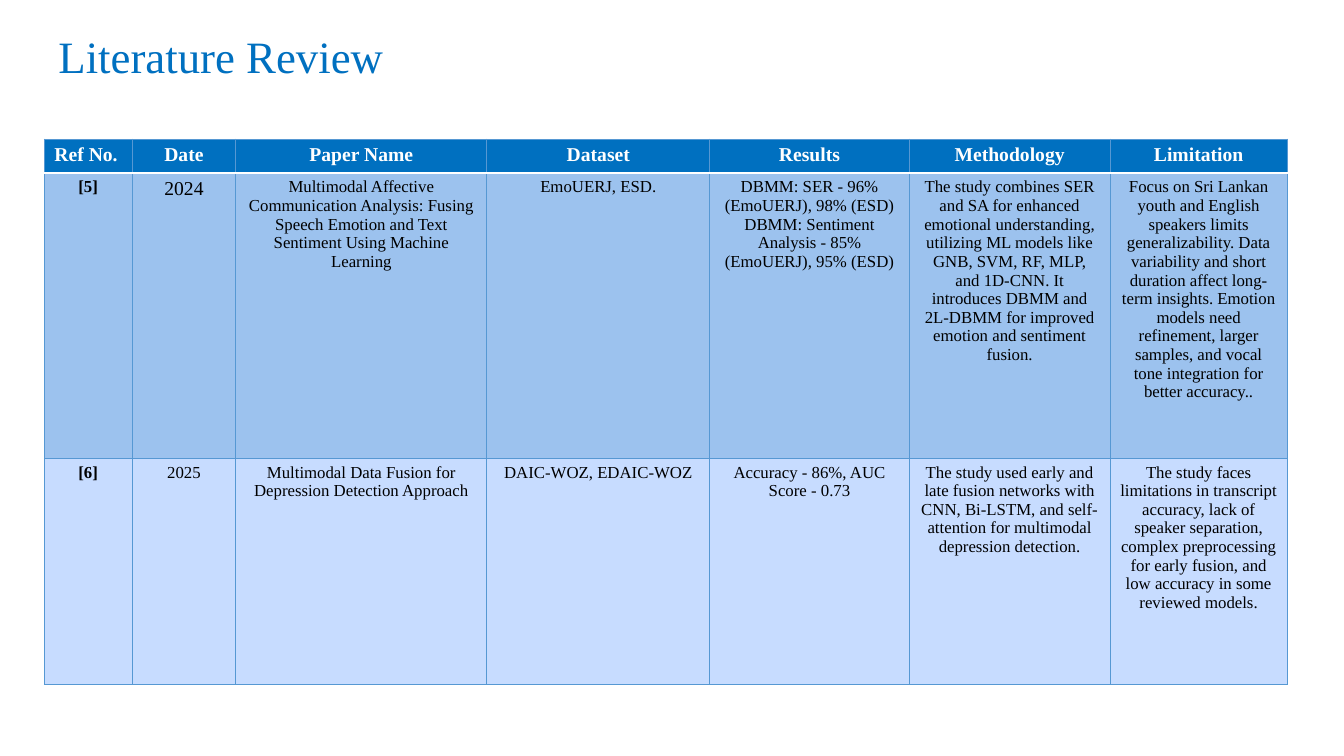
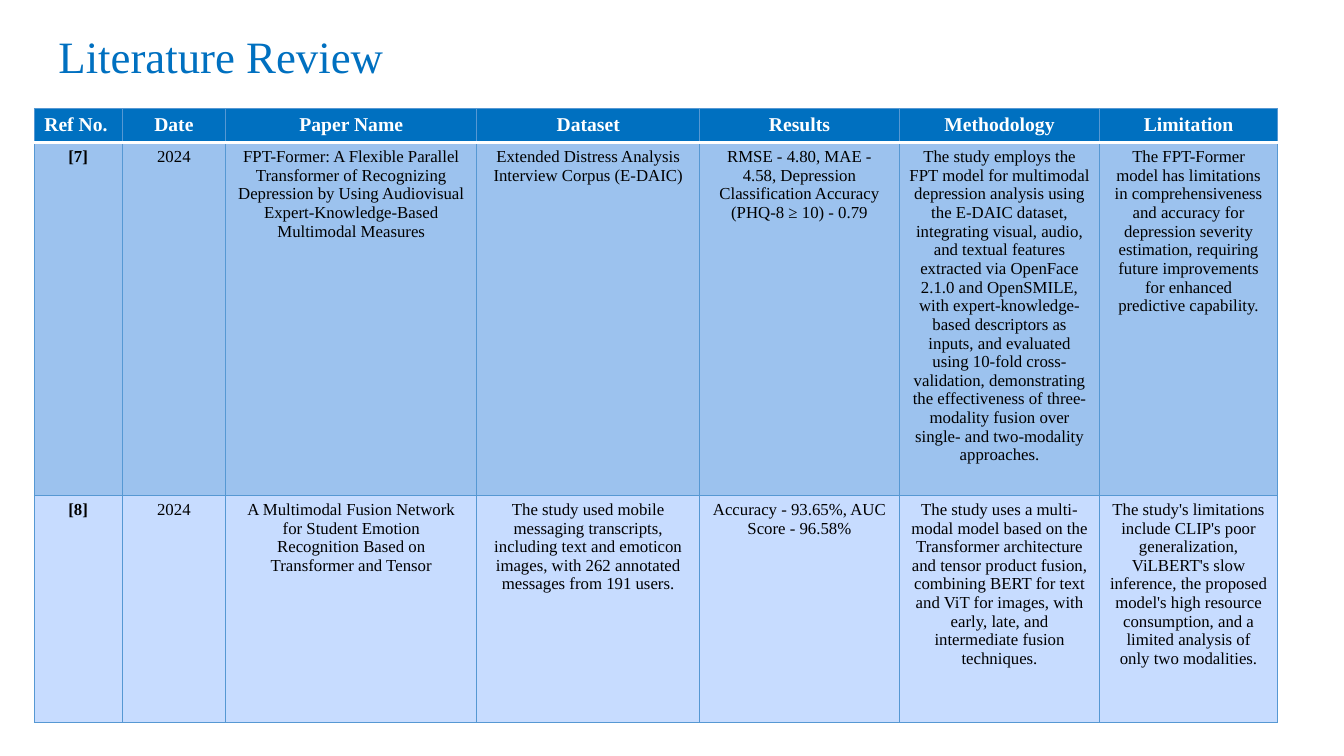
from dataclasses import dataclass

import lxml.etree
import pptx
import pptx.dml.color
import pptx.enum.text
import pptx.oxml.ns
import pptx.util

Inches = pptx.util.Inches
Pt = pptx.util.Pt


@dataclass(frozen=True)
class Theme:
    font: str = "Times New Roman"
    accent: str = "0070C0"
    white: str = "FFFFFF"
    black: str = "000000"
    border: str = "5698D3"
    row_fills: tuple = ("0070C0", "9CC2EE", "C7DCFF")
    title_size: int = 32
    header_size: int = 14
    body_size: int = 12


THEME = Theme()
LEFT = pptx.enum.text.PP_ALIGN.LEFT
CENTER = pptx.enum.text.PP_ALIGN.CENTER

COLUMN_WIDTHS = [0.87, 1.03, 2.49, 2.21, 1.98, 1.99, 1.76]
HEADERS = ["Ref No.", "Date", "Paper Name", "Dataset", "Results", "Methodology", "Limitation"]

REVIEWS = [
    {
        "position": (0.44, 1.38),
        "row_heights": [0.33, 2.83, 2.25],
        "first_date_size": THEME.header_size,
        "papers": [
            [
                "[5]",
                "2024",
                "Multimodal Affective Communication Analysis: Fusing Speech Emotion and Text "
                "Sentiment Using Machine Learning",
                "EmoUERJ, ESD.",
                "DBMM: SER - 96% (EmoUERJ), 98% (ESD)\n"
                "DBMM: Sentiment Analysis - 85% (EmoUERJ), 95% (ESD)",
                "The study combines SER and SA for enhanced emotional understanding, utilizing "
                "ML models like GNB, SVM, RF, MLP, and 1D-CNN. It introduces DBMM and 2L-DBMM "
                "for improved emotion and sentiment fusion.",
                "Focus on Sri Lankan youth and English speakers limits generalizability. Data "
                "variability and short duration affect long-term insights. Emotion models need "
                "refinement, larger samples, and vocal tone integration for better accuracy..",
            ],
            [
                "[6]",
                "2025",
                "Multimodal Data Fusion for Depression Detection Approach",
                "DAIC-WOZ, EDAIC-WOZ",
                "Accuracy - 86%, AUC Score - 0.73",
                "The study used early and late fusion networks with CNN, Bi-LSTM, and "
                "self-attention for multimodal depression detection.",
                "The study faces limitations in transcript accuracy, lack of speaker separation, "
                "complex preprocessing for early fusion, and low accuracy in some reviewed models.",
            ],
        ],
    },
    {
        "position": (0.34, 1.08),
        "row_heights": [0.33, 3.5, 2.25],
        "first_date_size": THEME.body_size,
        "papers": [
            [
                "[7]",
                "2024",
                "FPT-Former: A Flexible Parallel Transformer of Recognizing Depression by Using "
                "Audiovisual Expert-Knowledge-Based Multimodal Measures",
                "Extended Distress Analysis Interview Corpus (E-DAIC)",
                "RMSE - 4.80, MAE - 4.58, Depression Classification Accuracy (PHQ-8 ≥ 10) - 0.79",
                "The study employs the FPT model for multimodal depression analysis using the "
                "E-DAIC dataset, integrating visual, audio, and textual features extracted via "
                "OpenFace 2.1.0 and OpenSMILE, with expert-knowledge-based descriptors as inputs, "
                "and evaluated using 10-fold cross-validation, demonstrating the effectiveness of "
                "three-modality fusion over single- and two-modality approaches.",
                "The FPT-Former model has limitations in comprehensiveness and accuracy for "
                "depression severity estimation, requiring future improvements for enhanced "
                "predictive capability.",
            ],
            [
                "[8]",
                "2024",
                "A Multimodal Fusion Network for Student Emotion\n"
                "Recognition Based on Transformer and Tensor",
                "The study used mobile messaging transcripts, including text and emoticon images, "
                "with 262 annotated messages from 191 users.",
                "Accuracy - 93.65%, AUC Score - 96.58%",
                "The study uses a multi-modal model based on the Transformer architecture and "
                "tensor product fusion, combining BERT for text and ViT for images, with early, "
                "late, and intermediate fusion techniques.",
                "The study's limitations include CLIP's poor generalization, ViLBERT's slow "
                "inference, the proposed model's high resource consumption, and a limited "
                "analysis of only two modalities.",
            ],
        ],
    },
]


def write_text(text_frame, text, size, color, bold=False, alignment=CENTER):
    """Fill a text frame, one paragraph per line of text."""
    text_frame.text = text
    for paragraph in text_frame.paragraphs:
        paragraph.alignment = alignment
        font = paragraph.runs[0].font
        font.name = THEME.font
        font.size = Pt(size)
        font.bold = bold
        font.color.rgb = pptx.dml.color.RGBColor.from_string(color)


def set_borders(cell, **sides):
    """Draw cell borders from tag=(color, points), in the order lnL, lnR, lnT, lnB."""
    properties = cell._tc.get_or_add_tcPr()
    for index, (side, (color, points)) in enumerate(sides.items()):
        line = lxml.etree.Element(pptx.oxml.ns.qn(f"a:{side}"), w=str(Pt(points)))
        fill = lxml.etree.SubElement(line, pptx.oxml.ns.qn("a:solidFill"))
        lxml.etree.SubElement(fill, pptx.oxml.ns.qn("a:srgbClr"), val=color)
        properties.insert(index, line)


presentation = pptx.Presentation()
presentation.slide_width = Inches(13.33)
presentation.slide_height = Inches(7.5)
title_only_layout = presentation.slide_layouts[5]
thin_line = (THEME.border, 0.75)
header_line = (THEME.white, 2)

for review in REVIEWS:
    slide = presentation.slides.add_slide(title_only_layout)

    title = slide.shapes.title
    title.left, title.top = Inches(0.58), Inches(0.27)
    title.width, title.height = Inches(4.05), Inches(0.55)
    title_frame = title.text_frame
    title_frame.margin_left = title_frame.margin_right = title_frame.margin_bottom = 0
    title_frame.margin_top = Inches(0.01)
    title_frame.vertical_anchor = pptx.enum.text.MSO_ANCHOR.MIDDLE
    title_frame.auto_size = pptx.enum.text.MSO_AUTO_SIZE.SHAPE_TO_FIT_TEXT
    write_text(title_frame, "Literature Review", THEME.title_size, THEME.accent, alignment=LEFT)

    rows = [HEADERS] + review["papers"]
    left, top = review["position"]
    table = slide.shapes.add_table(
        len(rows), len(HEADERS), Inches(left), Inches(top),
        Inches(sum(COLUMN_WIDTHS)), Inches(sum(review["row_heights"])),
    ).table
    table.horz_banding = False
    for column, width in zip(table.columns, COLUMN_WIDTHS):
        column.width = Inches(width)
    for row, height in zip(table.rows, review["row_heights"]):
        row.height = Inches(height)

    for row_index, texts in enumerate(rows):
        is_header = row_index == 0
        for column_index, text in enumerate(texts):
            cell = table.cell(row_index, column_index)
            size = THEME.header_size if is_header else THEME.body_size
            if (row_index, column_index) == (1, 1):
                size = review["first_date_size"]
            write_text(
                cell.text_frame, text, size,
                THEME.white if is_header else THEME.black,
                bold=is_header or column_index == 0,
                alignment=LEFT if is_header and column_index == 0 else CENTER,
            )
            cell.fill.solid()
            cell.fill.fore_color.rgb = pptx.dml.color.RGBColor.from_string(
                THEME.row_fills[row_index])
            set_borders(
                cell, lnL=thin_line, lnR=thin_line,
                lnT=header_line if row_index == 1 else thin_line,
                lnB=header_line if is_header else thin_line,
            )

presentation.save("out.pptx")
